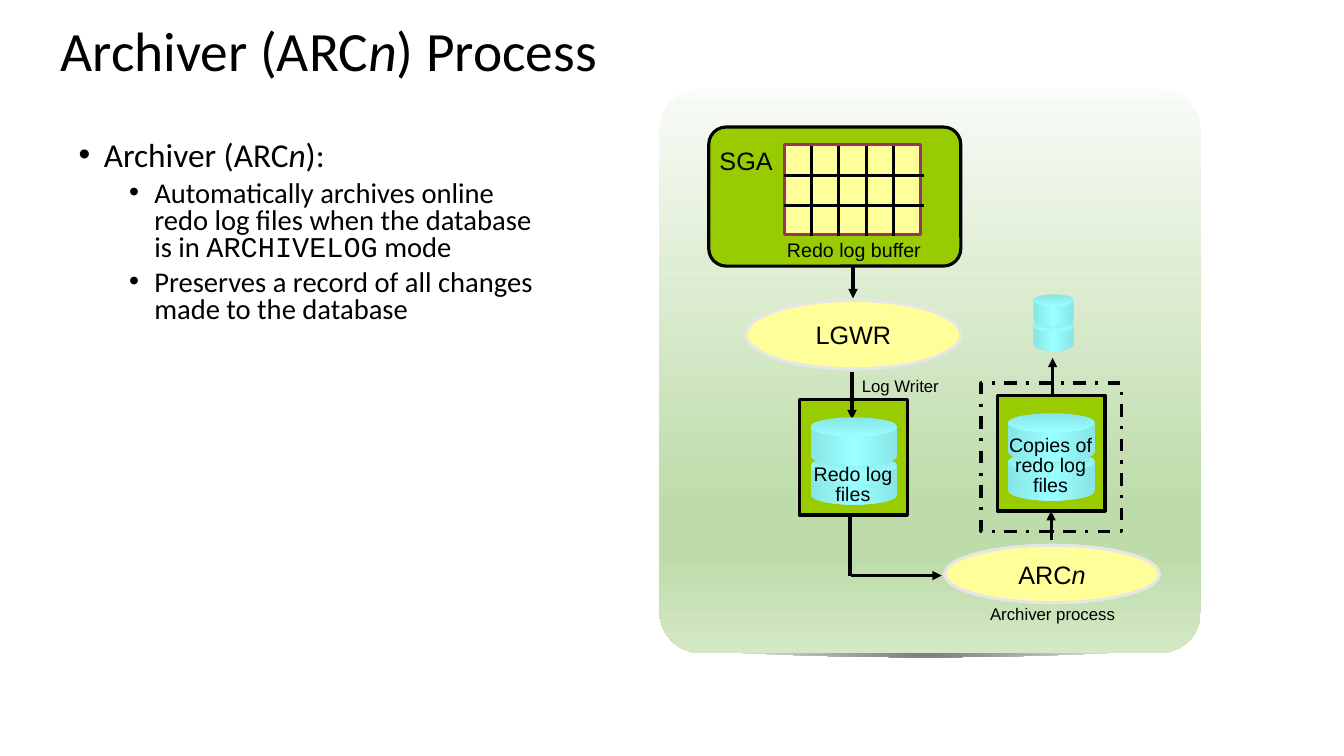
import lxml.etree
import pptx
import pptx.dml.color
import pptx.enum.dml
import pptx.enum.shapes
import pptx.enum.text
import pptx.oxml
import pptx.oxml.ns
import pptx.util

Color = pptx.dml.color.RGBColor
Shape = pptx.enum.shapes.MSO_SHAPE
Align = pptx.enum.text.PP_ALIGN
Anchor = pptx.enum.text.MSO_ANCHOR
AutoSize = pptx.enum.text.MSO_AUTO_SIZE
qn = pptx.oxml.ns.qn

BLACK = Color(0x00, 0x00, 0x00)
GREEN = Color(0x99, 0xCC, 0x00)
YELLOW = Color(0xFF, 0xFF, 0x99)
PURPLE = Color(0x99, 0x33, 0x66)
SILVER = Color(0xE7, 0xE6, 0xE6)
GRAY = Color(0x80, 0x80, 0x80)
WHITE = Color(0xFF, 0xFF, 0xFF)
AQUA = Color(0x99, 0xFF, 0xFF)
TEAL = Color(0x89, 0xE5, 0xE5)
MIST = Color(0xF8, 0xFB, 0xF6)
SAGE = Color(0xBE, 0xDC, 0xAA)
PALE = Color(0xD4, 0xE8, 0xC6)

TITLE = [("Archiver (ARC", ""), ("n", "italic"), (") Process", "")]
BULLETS = [
    (0, [("Archiver (ARC", ""), ("n", "italic"), ("):", "")]),
    (1, [("Automatically archives online redo log files when the database is in ", ""),
         ("ARCHIVELOG", "code"), (" mode", "")]),
    (1, [("Preserves a record of all changes made to the database", "")]),
]
BULLET_LEVELS = [(0.25, 23.8, 0), (0.75, 20.4, 5)]
LGWR = [("LGWR", "")]
ARCHIVER = [("ARC", ""), ("n", "italic")]

CELL = pptx.util.Inches(0.1)
PANEL = (65.4, 8.8, 53.7, 56)
SGA = (70.3, 12.6, 25, 13.8)
BUFFER = (77.8, 14.3, 13.5, 9)
BUFFER_COLUMNS, BUFFER_ROWS = 5, 3
REDO_FILES = (79.3, 39.6, 10.7, 11.5)
COPIES = (98.9, 39.2, 10.7, 11.5)
COPIES_FRAME = (97.3, 38, 13.9, 14.7)
LARGE_DISK = (8.6, 1.9, 2.9)
SMALL_DISK = (4, 1.2, 1.9)
CYLINDER = [(0, TEAL), (50, AQUA), (100, TEAL)]
CAP = [(0, TEAL), (100, AQUA)]

presentation = pptx.Presentation()
presentation.slide_width = pptx.util.Inches(13.33)
presentation.slide_height = pptx.util.Inches(7.5)
slide = presentation.slides.add_slide(presentation.slide_layouts[1])


def grid(*cells):
    return [round(cell * CELL) for cell in cells]


def place(shape, *box):
    shape.left, shape.top, shape.width, shape.height = grid(*box)


def write(paragraph, pieces, size, font="Arial"):
    for text, style in pieces:
        run = paragraph.add_run()
        run.text = text
        run.font.size = pptx.util.Pt(size)
        run.font.name = "Courier New" if style == "code" else font
        run.font.italic = style == "italic"
        run.font.color.rgb = BLACK


def paint_gradient(shape, stops, angle=None):
    shape.fill.gradient()
    gradient = shape.element.spPr.find(qn("a:gradFill"))
    for child in list(gradient):
        gradient.remove(child)
    stop_list = lxml.etree.SubElement(gradient, qn("a:gsLst"))
    for position, color in stops:
        stop = lxml.etree.SubElement(stop_list, qn("a:gs"), pos=str(position * 1000))
        lxml.etree.SubElement(stop, qn("a:srgbClr"), val=str(color))
    if angle is None:
        radial = lxml.etree.SubElement(gradient, qn("a:path"), path="circle")
        lxml.etree.SubElement(radial, qn("a:fillToRect"),
                              l="50000", t="50000", r="50000", b="50000")
    else:
        lxml.etree.SubElement(gradient, qn("a:lin"), ang=str(angle * 60000), scaled="0")


def add_shape(kind, box, fill=None, line=None, angle=0, corner=None):
    shape = slide.shapes.add_shape(kind, *grid(*box))
    shape.shadow.inherit = False
    if corner is not None:
        shape.adjustments[0] = corner
    if fill is None:
        shape.fill.background()
    elif isinstance(fill, list):
        paint_gradient(shape, fill, angle)
    else:
        shape.fill.solid()
        shape.fill.fore_color.rgb = fill
    if line is None:
        shape.line.fill.background()
    else:
        shape.line.color.rgb = line
        shape.line.width = pptx.util.Pt(2.25)
    return shape


def add_line(start, end, arrow=False):
    line = slide.shapes.add_connector(
        pptx.enum.shapes.MSO_CONNECTOR.STRAIGHT, *grid(*start, *end))
    line.line.color.rgb = BLACK
    line.line.width = pptx.util.Pt(2.25)
    if arrow:
        lxml.etree.SubElement(line.line._get_or_add_ln(), qn("a:tailEnd"), type="triangle")
    lxml.etree.SubElement(line.element.spPr, qn("a:effectLst"))
    return line


def add_label(box, lines, size, wrap=True, tight=False):
    label = slide.shapes.add_textbox(*grid(*box))
    frame = label.text_frame
    frame.word_wrap = wrap
    frame.auto_size = AutoSize.SHAPE_TO_FIT_TEXT
    if tight:
        frame.margin_left = frame.margin_right = pptx.util.Inches(0.06)
        frame.margin_top = frame.margin_bottom = pptx.util.Inches(0.03)
    for index, text in enumerate(lines):
        paragraph = frame.add_paragraph() if index else frame.paragraphs[0]
        paragraph.alignment = Align.CENTER
        if tight:
            paragraph.line_spacing = 0.85
        write(paragraph, [(text, "")], size)


def add_process(box, pieces):
    process = add_shape(Shape.OVAL, box, YELLOW, SILVER)
    frame = process.text_frame
    frame.word_wrap = False
    frame.vertical_anchor = Anchor.MIDDLE
    frame.paragraphs[0].alignment = Align.CENTER
    write(frame.paragraphs[0], pieces, 18)


def add_disks(left, top, size):
    width, cap, body = size
    for level in (1, 0):
        disk_top = top + level * (body + cap / 2)
        add_shape(Shape.RECTANGLE, (left, disk_top + cap / 2, width, body), CYLINDER)
        add_shape(Shape.OVAL, (left, disk_top, width, cap), CAP, angle=90)
        add_shape(Shape.OVAL, (left, disk_top + body, width, cap), CYLINDER)


shadow_center, shadow_reach, steps = 91.8, 25.15, 20
curve = [(shadow_center + shadow_reach * t, 64.4 + 0.8 * (1 - t * t))
         for t in (1 - 2 * step / steps for step in range(steps + 1))]
builder = slide.shapes.build_freeform(*grid(*curve[-1]), scale=1.0)
builder.add_line_segments([grid(*point) for point in curve], close=True)
panel_shadow = builder.convert_to_shape()
panel_shadow.shadow.inherit = False
panel_shadow.line.fill.background()
paint_gradient(panel_shadow, [(4, GRAY), (100, WHITE)])
add_shape(Shape.ROUNDED_RECTANGLE, PANEL,
          [(0, MIST), (74, SAGE), (83, SAGE), (100, PALE)], angle=90, corner=0.077)

title = slide.shapes.title
place(title, 5, 2, 108.3, 6.6)
title.text_frame.auto_size = AutoSize.NONE
title.text_frame.vertical_anchor = Anchor.MIDDLE
title.text_frame.paragraphs[0].alignment = Align.LEFT
title.text_frame.paragraphs[0].line_spacing = 0.9
write(title.text_frame.paragraphs[0], TITLE, 39.6, "Calibri")

body = slide.placeholders[1]
place(body, 6.8, 13.6, 47.3, 20)
body.text_frame.auto_size = AutoSize.NONE
for index, (level, pieces) in enumerate(BULLETS):
    paragraph = body.text_frame.add_paragraph() if index else body.text_frame.paragraphs[0]
    margin, size, space = BULLET_LEVELS[level]
    paragraph.level = level
    properties = paragraph._p.get_or_add_pPr()
    properties.set("marL", str(pptx.util.Inches(margin)))
    properties.set("indent", str(pptx.util.Inches(-0.25)))
    lxml.etree.SubElement(properties, qn("a:buFont"), typeface="Arial")
    lxml.etree.SubElement(properties, qn("a:buChar"), char="•")
    paragraph.line_spacing = 0.8
    paragraph.space_before = pptx.util.Pt(space)
    write(paragraph, pieces, size, "Calibri")

add_line((84.3, 57.1), (84.3, 50.4))
add_shape(Shape.RECTANGLE, REDO_FILES, GREEN, BLACK)
add_line((84.6, 26.3), (84.6, 29.6), arrow=True)
add_line((84.4, 57.1), (93.4, 57.1), arrow=True)
add_line((84.5, 36.9), (84.5, 41.6), arrow=True)
add_disks(80.4, 41.4, LARGE_DISK)
add_label((79.1, 45.9, 11, 4.6), ["Redo log", "files"], 14, tight=True)

add_shape(Shape.ROUNDED_RECTANGLE, SGA, GREEN, BLACK, corner=0.125)
add_label((70.3, 13.9, 7.4, 4), ["SGA"], 18, wrap=False)
add_shape(Shape.RECTANGLE, BUFFER, YELLOW, PURPLE)
left, top, width, height = BUFFER
for column in range(1, BUFFER_COLUMNS):
    x = left + column * width / BUFFER_COLUMNS
    add_line((x, top + 0.2), (x, top + height + 0.1))
for row in range(1, BUFFER_ROWS):
    y = top + row * height / BUFFER_ROWS + 0.1
    add_line((left, y), (left + width + 0.3, y))
add_label((77, 23.1, 15.4, 3.4), ["Redo log buffer"], 14, wrap=False)
add_label((83.4, 36.8, 11.8, 3), ["Log Writer"], 12)
add_process((74, 29.8, 21.3, 6.8), LGWR)

add_line((104.4, 40.5), (104.4, 35.5), arrow=True)
add_disks(102.5, 29.2, SMALL_DISK)
add_label((93.9, 59.4, 21, 3), ["Archiver process"], 12)
add_process((93.7, 54.1, 21.3, 5.7), ARCHIVER)
copies = add_shape(Shape.RECTANGLE, COPIES, GREEN, BLACK)
add_disks(100, 41, LARGE_DISK)
add_label((98.7, 43, 11, 6.6), ["Copies of redo log", "files"], 14, tight=True)
frame = add_shape(Shape.RECTANGLE, COPIES_FRAME, line=BLACK)
frame.line.dash_style = pptx.enum.dml.MSO_LINE.DASH_DOT
archive_arrow = add_line((104.25, 53.6), (104.25, 50.7), arrow=True)
archive_arrow.end_connect(copies, 2)

presentation.save("out.pptx")
